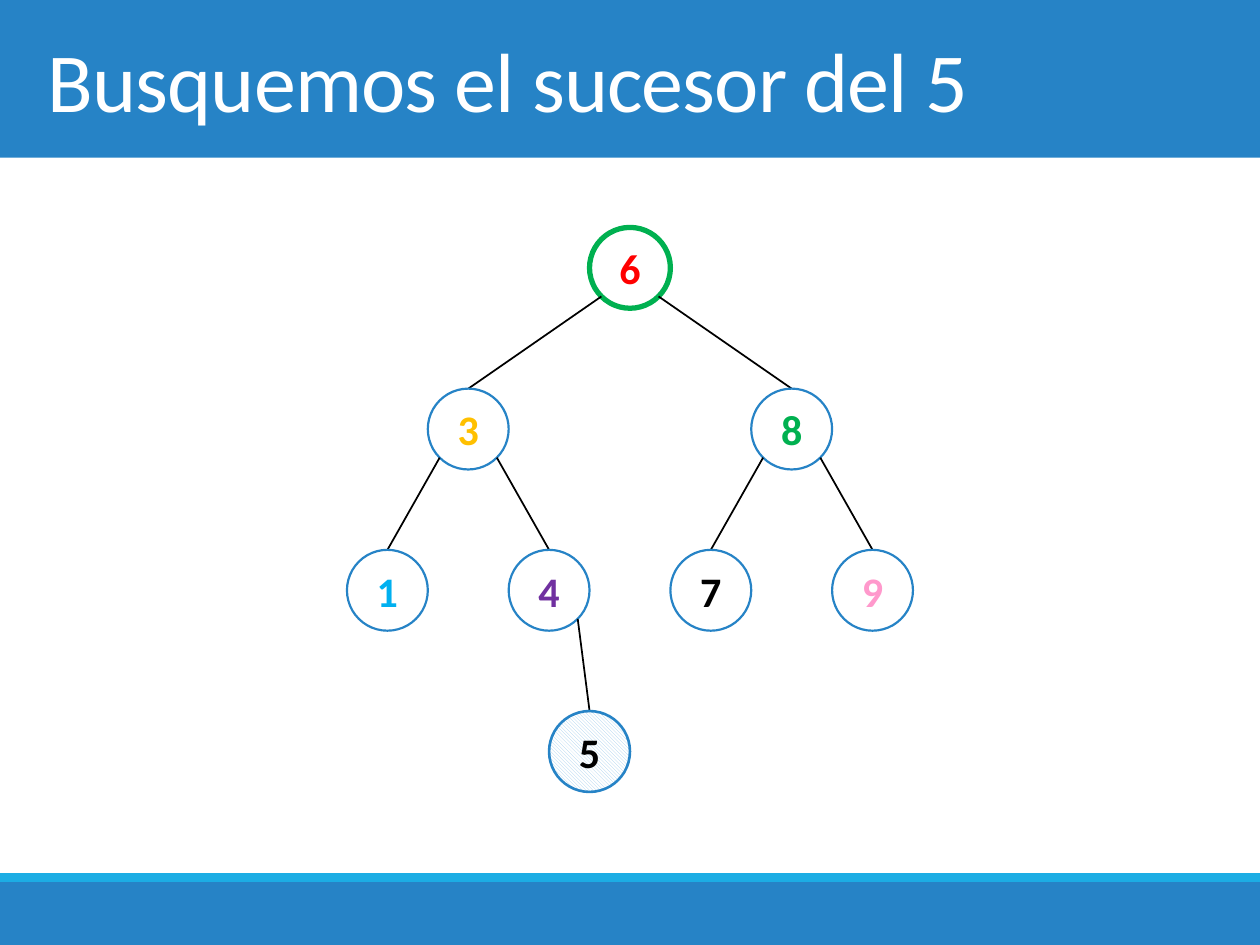
"""Build a slide that shows a binary search tree and the successor of 5."""
from math import sqrt

from lxml.etree import SubElement
from pptx import Presentation
from pptx.dml.color import RGBColor
from pptx.enum.dml import MSO_PATTERN
from pptx.enum.shapes import MSO_CONNECTOR, MSO_SHAPE
from pptx.enum.text import MSO_ANCHOR, MSO_AUTO_SIZE, PP_ALIGN
from pptx.oxml.ns import qn
from pptx.util import Cm, Pt

COLORS = {
    "blue": "2683C6", "cyan": "1CADE4", "white": "FFFFFF", "black": "000000",
    "green": "00B050", "red": "FF0000", "amber": "FFC000", "sky": "00B0F0",
    "purple": "7030A0", "pink": "FF99CC", "hatch": "A3CEED",
}
FONT = "Calibri"
WIDTH, HEIGHT = 25.4, 19.05
NODE = 1.63
LEVEL = 3.25

# value: (parent, offset from parent in node widths, text colour)
TREE = {
    "6": (None, 0, "red"),
    "3": ("6", -2, "amber"),
    "8": ("6", 2, "green"),
    "1": ("3", -1, "sky"),
    "4": ("3", 1, "purple"),
    "7": ("8", -1, "black"),
    "9": ("8", 1, "pink"),
    "5": ("4", 0.5, "black"),
}
OUTLINES = {"6": ("green", 3), "5": ("blue", 1.5)}


def color(name):
    """Return the named colour."""
    return RGBColor.from_string(COLORS[name])


def style_text(tf, text, size, name, align, bold=False):
    """Write one formatted, vertically centred paragraph."""
    tf.text = text
    tf.auto_size = MSO_AUTO_SIZE.NONE
    tf.vertical_anchor = MSO_ANCHOR.MIDDLE
    p = tf.paragraphs[0]
    p.alignment = align
    p.font.name = FONT
    p.font.size = Pt(size)
    p.font.bold = bold
    p.font.color.rgb = color(name)
    return p


def add_bar(slide, top, height, name):
    """Add a full-width band."""
    sp = slide.shapes.add_shape(MSO_SHAPE.RECTANGLE, 0, Cm(top), Cm(WIDTH), Cm(height))
    sp.shadow.inherit = False
    sp.fill.solid()
    sp.fill.fore_color.rgb = color(name)
    sp.line.fill.background()


def add_header(slide, height, text):
    """Add the title band and place the title inside it."""
    add_bar(slide, 0, height, "blue")
    title = slide.shapes.title
    title.element.getparent().append(title.element)
    title.left, title.top = Cm(0.71), Cm(0)
    title.width, title.height = Cm(24), Cm(height)
    p = style_text(title.text_frame, text, 48, "white", PP_ALIGN.LEFT)
    p.runs[0].font._element.set("spc", "-50")


def add_footer(slide, height, strip):
    """Add the bottom band with a thin strip above it."""
    add_bar(slide, HEIGHT - height, height, "blue")
    add_bar(slide, HEIGHT - height - strip, strip, "cyan")


def add_edge(slide, parent, child):
    """Join the lower side of a parent node to the top of its child."""
    (px, py), (cx, cy) = parent, child
    reach = NODE / 2 / sqrt(2)
    side = reach if cx > px else -reach
    line = slide.shapes.add_connector(
        MSO_CONNECTOR.STRAIGHT, Cm(px + side), Cm(py + reach), Cm(cx), Cm(cy - NODE / 2))
    line.line.color.rgb = color("black")
    line.line.width = Pt(1)
    SubElement(line._element.spPr, qn("a:effectLst"))


def add_node(slide, center, value, name):
    """Add a circle with its value, centred on a point."""
    x, y = center
    sp = slide.shapes.add_shape(
        MSO_SHAPE.OVAL, Cm(x - NODE / 2), Cm(y - NODE / 2), Cm(NODE), Cm(NODE))
    sp.shadow.inherit = False
    if value == "5":
        sp.fill.patterned()
        sp.fill.pattern = MSO_PATTERN.LIGHT_DOWNWARD_DIAGONAL
        sp.fill.fore_color.rgb = color("hatch")
        sp.fill.back_color.rgb = color("white")
    else:
        sp.fill.solid()
        sp.fill.fore_color.rgb = color("white")
    outline, width = OUTLINES.get(value, ("blue", 1.25))
    sp.line.color.rgb = color(outline)
    sp.line.width = Pt(width)
    tf = sp.text_frame
    tf.margin_left = tf.margin_right = 0
    style_text(tf, value, 24, name, PP_ALIGN.CENTER, True)


def add_tree(slide, x, y):
    """Draw the tree with its root centred on a point."""
    centers = {}
    for value, (parent, offset, name) in TREE.items():
        if parent is None:
            centers[value] = (x, y)
        else:
            px, py = centers[parent]
            centers[value] = (px + offset * NODE, py + LEVEL)
            add_edge(slide, centers[parent], centers[value])
        add_node(slide, centers[value], value, name)


def main():
    """Build and save the slide."""
    prs = Presentation()
    prs.slide_width, prs.slide_height = Cm(WIDTH), Cm(HEIGHT)
    slide = prs.slides.add_slide(prs.slide_layouts[5])
    add_header(slide, 3.18, "Busquemos el sucesor del 5")
    add_footer(slide, 1.27, 0.18)
    add_tree(slide, WIDTH / 2, 5.4)
    prs.save("out.pptx")


main()
